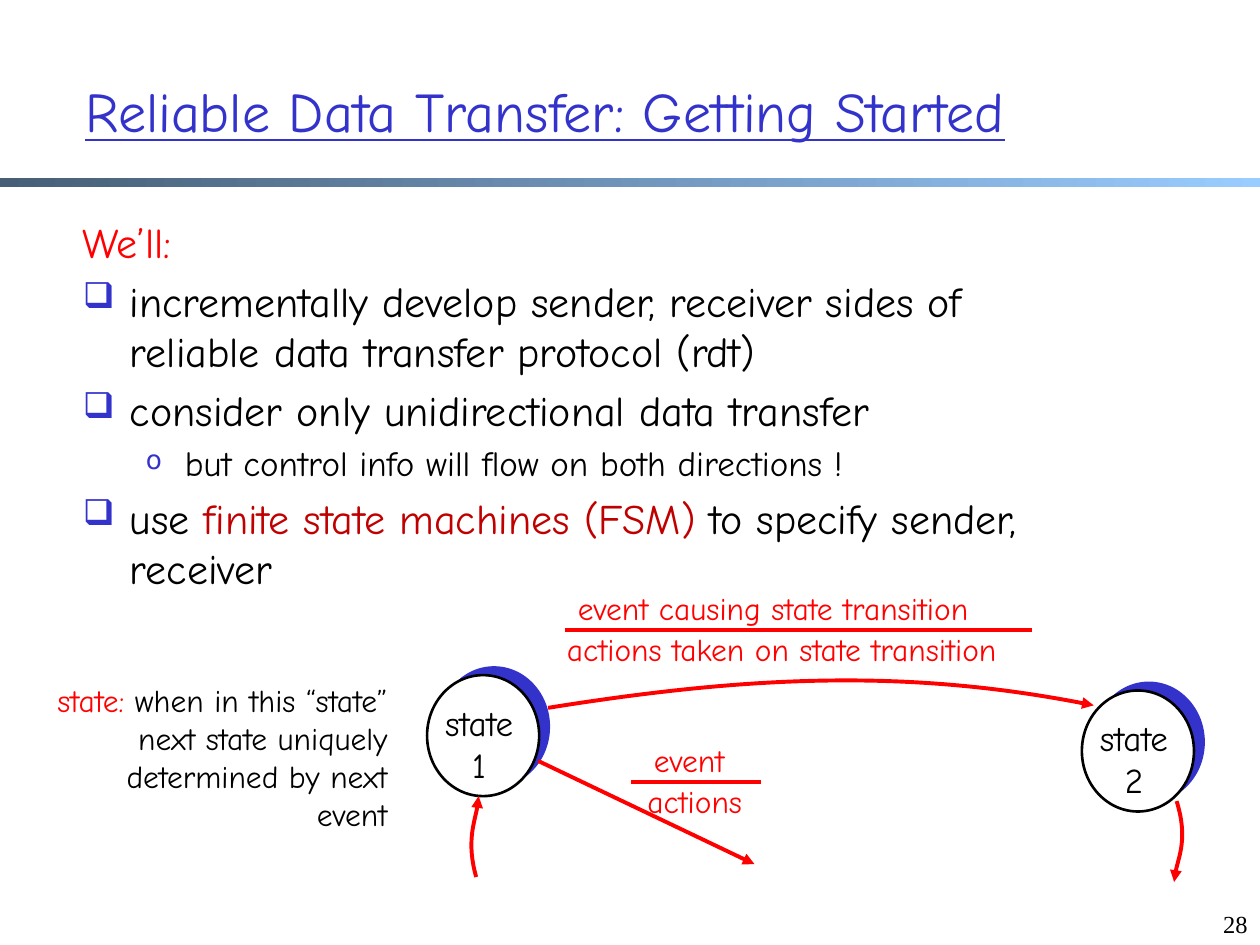
from dataclasses import dataclass

from lxml import etree
from pptx import Presentation
from pptx import util as u
from pptx.dml.color import RGBColor as Rgb
from pptx.enum import shapes, text
from pptx.oxml.ns import qn


@dataclass(frozen=True)
class Theme:
    """Colours, fonts and sizes of the slide."""
    blue: str = "3333CC"
    red: str = "FF0000"
    dark: str = "C00000"
    black: str = "000000"
    white: str = "FFFFFF"
    bar: tuple = ("475E76", "99CCFF")
    face: str = "Comic Neue"
    serif: str = "Times New Roman"
    head: int = 32
    main: int = 24
    sub: int = 20
    note: int = 18
    page: int = 14


T = Theme()
LEFT, MID, RIGHT = (text.PP_ALIGN.LEFT, text.PP_ALIGN.CENTER, text.PP_ALIGN.RIGHT)
TOP, CORE, LOW = (text.MSO_ANCHOR.TOP, text.MSO_ANCHOR.MIDDLE, text.MSO_ANCHOR.BOTTOM)


def cms(*nums):
    """Turn numbers into centimetre lengths."""
    return [u.Cm(n) for n in nums]


def put(obj, vals):
    """Set each attribute in a dict of format values."""
    for key, val in vals.items():
        setattr(obj, key, val)


def frame(host, box, anchor=TOP):
    """Add a wrapping text box and return its text frame."""
    body = host.shapes.add_textbox(*cms(*box)).text_frame
    put(body, {"word_wrap": True, "vertical_anchor": anchor})
    return body


def write(para, runs, size, align=LEFT, **more):
    """Fill a paragraph with (words, colour) runs."""
    para.alignment = align
    for words, tint in runs:
        run = para.add_run()
        run.text = words
        put(run.font, {"size": u.Pt(size), "name": T.face, **more})
        run.font.color.rgb = Rgb.from_string(tint)


def hang(para, left, step):
    """Give a paragraph a hanging indent."""
    props = para._p.get_or_add_pPr()
    props.set("marL", str(u.Cm(left)))
    props.set("indent", str(-u.Cm(step)))
    return props


def mark(props, sign, size):
    """Add a coloured bullet to paragraph properties."""
    tint = etree.SubElement(props, qn("a:buClr"))
    etree.SubElement(tint, qn("a:srgbClr"), val=T.blue)
    etree.SubElement(props, qn("a:buSzPct"), val=str(size * 1000))
    etree.SubElement(props, qn("a:buChar"), char=sign)


def stroke(item, arrow=True):
    """Style a red line, with an arrowhead at its end if wanted."""
    item.line.color.rgb = Rgb.from_string(T.red)
    item.line.width = u.Pt(2.25)
    if arrow:
        etree.SubElement(item.line._get_or_add_ln(), qn("a:tailEnd"), type="triangle")


def rule(host, start, end, arrow=False):
    """Draw a straight red line."""
    item = host.shapes.add_connector(
        shapes.MSO_CONNECTOR.STRAIGHT, *cms(*start, *end))
    stroke(item, arrow)
    etree.SubElement(item._element.spPr, qn("a:effectLst"))


def curve(host, start, *pts):
    """Draw a red cubic curve that ends in an arrowhead."""
    build = host.shapes.build_freeform(*cms(*start))
    build.add_line_segments([cms(*pt) for pt in pts], close=False)
    item = build.convert_to_shape()
    item.shadow.inherit = False
    item.fill.background()
    stroke(item)
    legs = list(item._element.iter(qn("a:lnTo")))
    bend = etree.Element(qn("a:cubicBezTo"))
    legs[0].addprevious(bend)
    for leg in legs:
        bend.append(leg[0])
        leg.getparent().remove(leg)


def disc(host, box, tint, edge=None):
    """Draw a filled ellipse with an optional outline."""
    item = host.shapes.add_shape(shapes.MSO_SHAPE.OVAL, *cms(*box))
    item.shadow.inherit = False
    item.fill.solid()
    item.fill.fore_color.rgb = Rgb.from_string(tint)
    if edge:
        item.line.color.rgb = Rgb.from_string(edge)
        item.line.width = u.Pt(1.5)
    else:
        item.line.fill.background()


def state(slide, box, num):
    """Draw one numbered state with its blue backing disc."""
    x, y, w, h = box
    host = slide.shapes.add_group_shape()
    disc(host, (x + 0.22, y - 0.18, w, h), T.blue)
    disc(host, box, T.white, T.black)
    body = frame(host, (x - 0.08, y + 0.4, w, 1.96))
    write(body.paragraphs[0], [("state", T.black)], T.sub, MID)
    write(body.add_paragraph(), [(num, T.black)], T.sub, MID)


def label(slide, box, upper, lower):
    """Set (words, offset, width) texts above and below a rule."""
    x, y, w = box
    host = slide.shapes.add_group_shape()
    for (words, shift, wide), drop in ((upper, -0.95), (lower, -0.13)):
        body = frame(host, (x + shift, y + drop, wide, 1.02))
        write(body.paragraphs[0], [(words, T.red)], T.note)
    rule(host, (x, y), (x + w, y))


def header(slide, box):
    """Place the title and the gradient bar below it."""
    x, y, w, h = box
    body = frame(slide, (x + 1.47, y + 0.64, 21.59, 3.18), CORE)
    write(body.paragraphs[0], [("Reliable Data Transfer: Getting Started", T.blue)],
          T.head, underline=True)
    bar = slide.shapes.add_shape(
        shapes.MSO_SHAPE.RECTANGLE, *cms(x, y + h - 0.2, w, 0.2))
    bar.shadow.inherit = False
    bar.line.fill.background()
    bar.fill.gradient()
    bar.fill.gradient_angle = 0
    for stop, tint in zip(bar.fill.gradient_stops, T.bar):
        stop.color.rgb = Rgb.from_string(tint)


def points(slide, box):
    """Place the lead-in and the bulleted list."""
    rows = [
        (None, [("We’ll:", T.red)]),
        ("❑", [("incrementally develop sender, receiver sides of "
               "reliable data transfer protocol (rdt)", T.black)]),
        ("❑", [("consider only unidirectional data transfer", T.black)]),
        ("o", [("but control info will flow on both directions !", T.black)]),
        ("❑", [("use ", T.black), ("finite state machines (FSM)", T.dark),
               (" to specify sender, receiver", T.black)]),
    ]
    looks = {None: (0.95, 0.95, 0, T.main), "❑": (0.95, 0.95, 85, T.main),
             "o": (2.06, 0.79, 75, T.sub)}
    body = frame(slide, box)
    for i, (sign, runs) in enumerate(rows):
        para = body.add_paragraph() if i else body.paragraphs[0]
        left, step, scale, size = looks[sign]
        props = hang(para, left, step)
        if sign:
            para.level = int(sign == "o")
            mark(props, sign, scale)
            para.space_before = u.Pt(size * 0.2)
        write(para, runs, size)


def machine(slide, box):
    """Draw the two states, their transitions and the labels."""
    x, y = box[:2]

    def at(a, b):
        """Shift a point into the box."""
        return x + a, y + b

    state(slide, (*at(8.25, 1.85), 2.26, 2.44), "1")
    state(slide, (*at(21.45, 2.16), 2.26, 2.44), "2")
    curve(slide, at(10.69, 2.51), at(14.8, 1.85), at(18.08, 1.73), at(21.69, 2.46))
    curve(slide, at(9.24, 5.92), at(9.04, 5.21), at(9.29, 4.55), at(9.29, 4.29))
    curve(slide, at(23.36, 4.39), at(23.59, 5.13), at(23.31, 5.77), at(23.31, 6.02))
    rule(slide, at(10.49, 3.58), at(14.85, 5.66), arrow=True)
    label(slide, (*at(11.04, 0.94), 9.4),
          ("event causing state transition", 0, 9.32),
          ("actions taken on state transition", -0.22, 10.16))
    label(slide, (*at(12.37, 4.01), 2.61),
          ("event", 0.2, 2.16), ("actions", 0.07, 2.62))
    para = frame(slide, (*at(0, 1.85), 7.7, 3.43)).paragraphs[0]
    hang(para, 0.97, 0.97)
    write(para, [("state:", T.red), (" when in this “state” next state uniquely "
                                     "determined by next event", T.black)],
          T.note, RIGHT)


def footer(slide, box):
    """Place the page number."""
    body = frame(slide, box, LOW)
    write(body.paragraphs[0], [("28", T.black)], T.page, RIGHT, name=T.serif)


def main():
    """Build and save the slide."""
    deck = Presentation()
    put(deck, {"slide_width": u.Cm(25.4), "slide_height": u.Cm(19.05)})
    slide = deck.slides.add_slide(deck.slide_layouts[6])
    header(slide, (0, 0, 25.4, 3.78))
    footer(slide, (19.48, 17.78, 5.92, 1.27))
    points(slide, (1.42, 4.24, 20.17, 9.32))
    machine(slide, (0.36, 11.76, 24, 6.02))
    deck.save("out.pptx")


if __name__ == "__main__":
    main()
